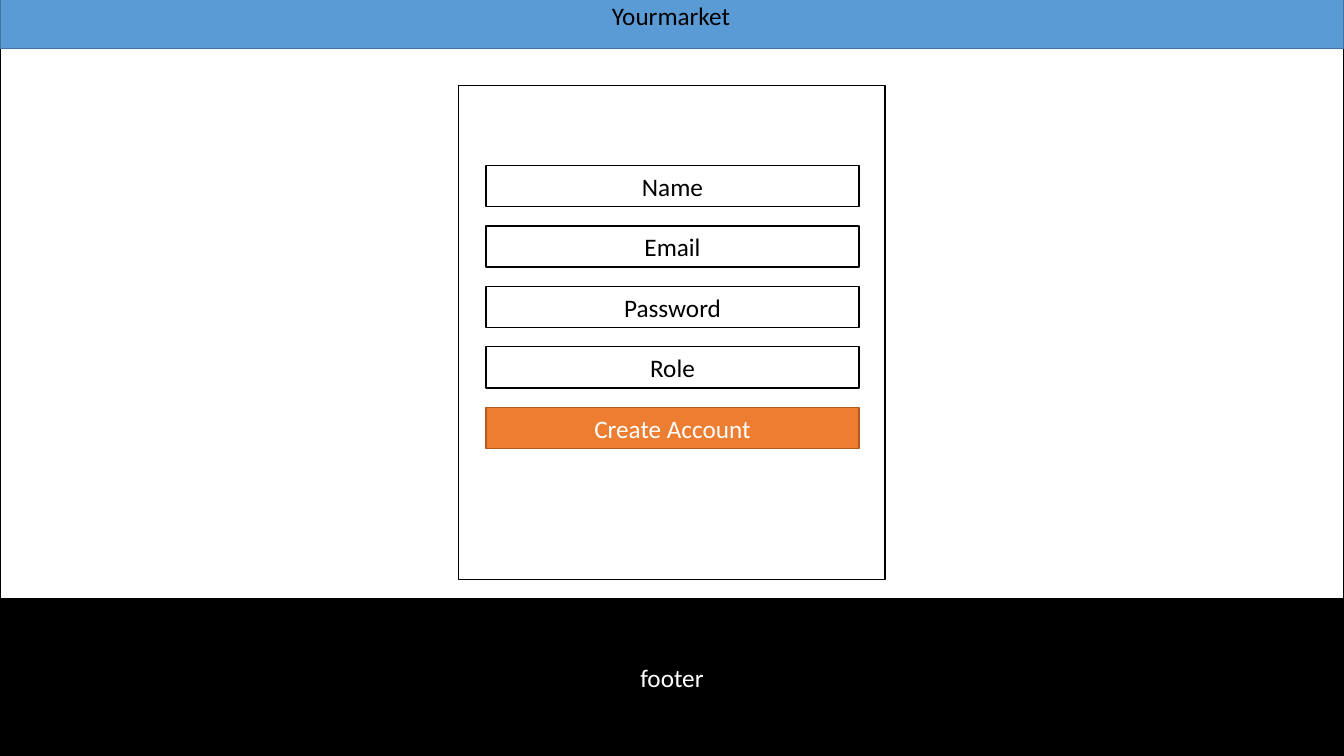
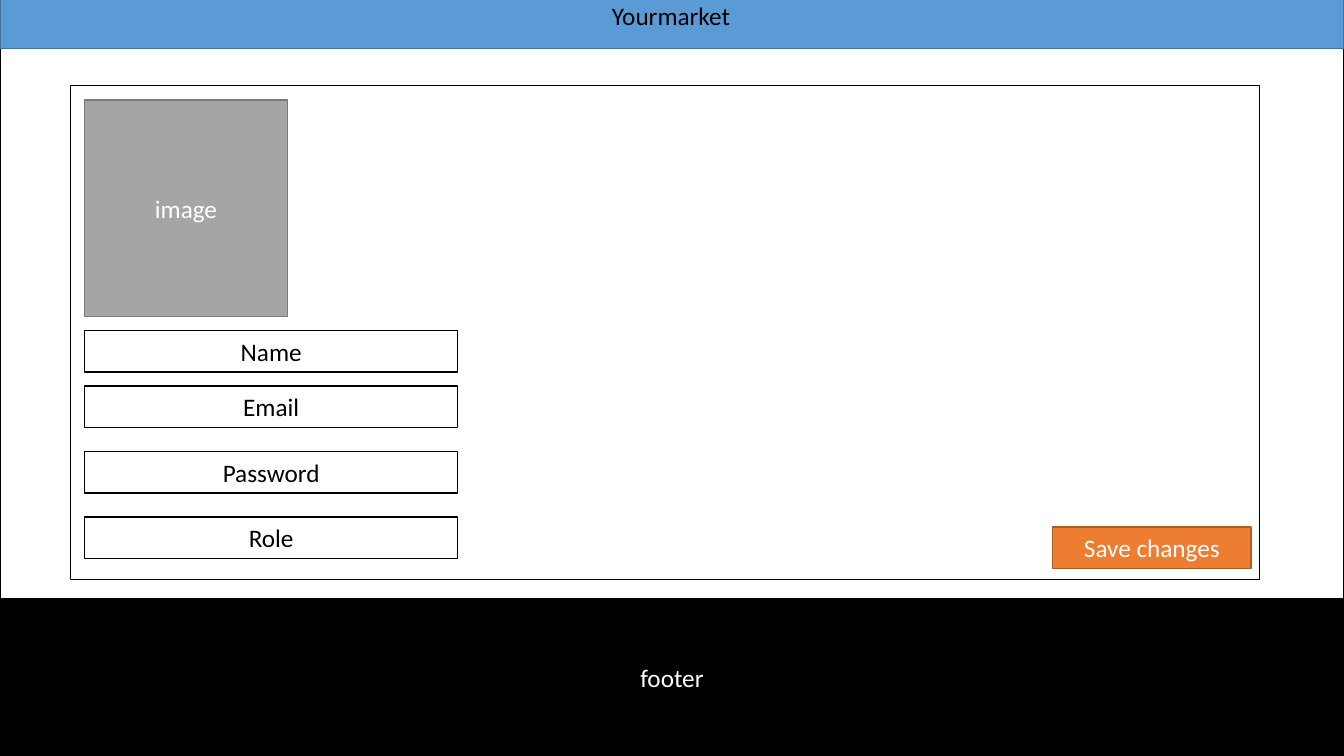
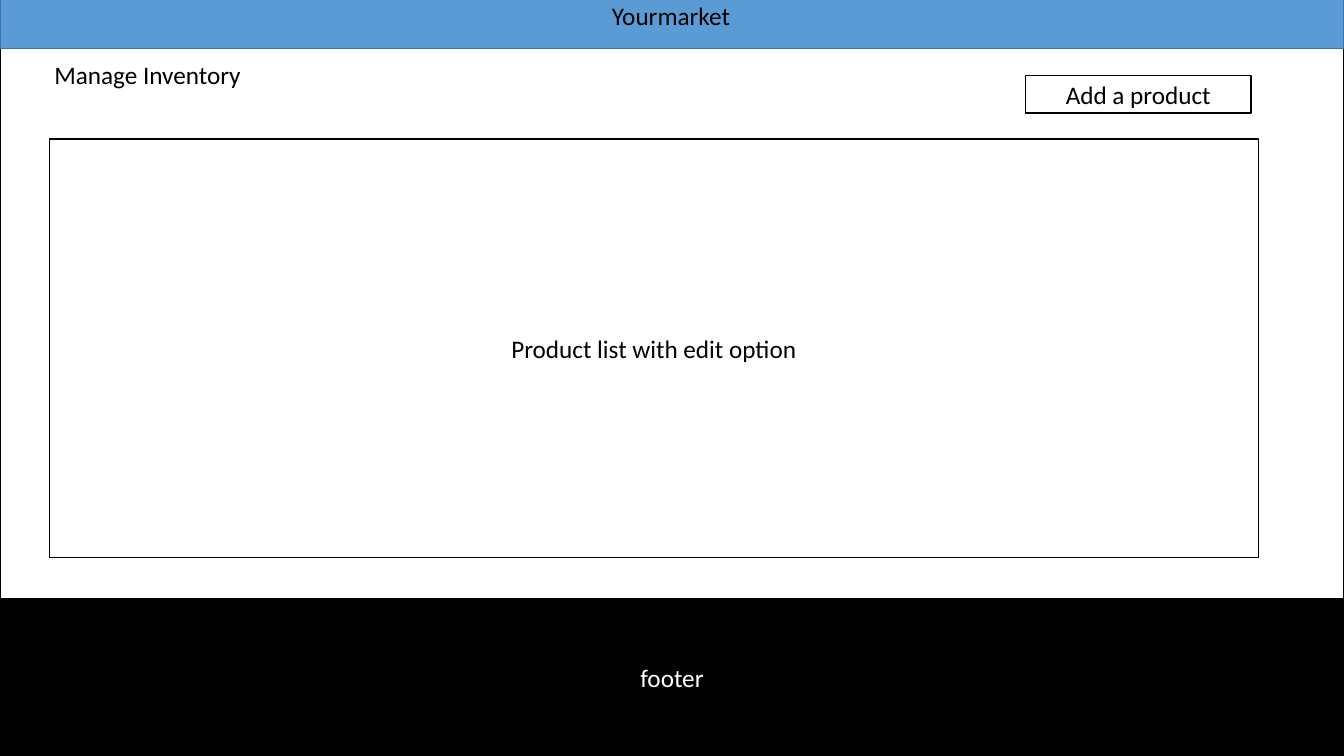
from pptx import Presentation
from pptx.dml.color import RGBColor
from pptx.enum.shapes import MSO_SHAPE
from pptx.enum.text import MSO_ANCHOR, MSO_AUTO_SIZE, PP_ALIGN
from pptx.util import Pt

PX = 9144  # EMU in one px, 100 px to the inch
WIDE, HIGH = 1333, 750
FONT = {"name": "Calibri", "size": Pt(18)}
LABEL = {"word_wrap": False, "auto_size": MSO_AUTO_SIZE.SHAPE_TO_FIT_TEXT}

# Each look is fill, line and text colour; a label has neither fill nor line.
PLAIN = ("FFFFFF", "000000", "000000")
BAND = ("5B9BD5", "43739E", "000000")
DARK = ("000000", "000000", "FFFFFF")
BUTTON = ("ED7D31", "AF5C24", "FFFFFF")
PHOTO = ("A5A5A5", "7A7A7A", "FFFFFF")

FIELDS = ["Name", "Email", "Password", "Role"]
FIELD_W, FIELD_H = 370, 41


def write(shape, text, color):
    para = shape.text_frame.paragraphs[0]
    run = para.add_run()
    run.text = text
    for key, value in FONT.items():
        setattr(run.font, key, value)
    run.font.color.rgb = RGBColor.from_string(color)
    return para


def draw(slide, box, look=None, text=""):
    """Draw a box in the given look, or a bare label when there is no look."""
    place = [n * PX for n in box]
    if look is None:
        label = slide.shapes.add_textbox(*place)
        for key, value in LABEL.items():
            setattr(label.text_frame, key, value)
        write(label, text, "000000")
        return
    fill, line, ink = look
    shape = slide.shapes.add_shape(MSO_SHAPE.RECTANGLE, *place)
    shape.shadow.inherit = False
    shape.fill.solid()
    shape.fill.fore_color.rgb = RGBColor.from_string(fill)
    shape.line.color.rgb = RGBColor.from_string(line)
    shape.line.width = Pt(1)
    if text:
        shape.text_frame.vertical_anchor = MSO_ANCHOR.MIDDLE
        write(shape, text, ink).alignment = PP_ALIGN.CENTER


deck = Presentation()
deck.slide_width, deck.slide_height = WIDE * PX, HIGH * PX

# Page frame, header and footer on every slide
pages = []
for _ in range(3):
    page = deck.slides.add_slide(deck.slide_layouts[6])
    draw(page, (0, -18, WIDE, HIGH), PLAIN)
    draw(page, (0, -18, WIDE, 66), BAND)
    draw(page, (597, -5, 138, 40), text="Yourmarket")
    draw(page, (0, 594, WIDE, 156), DARK, "footer")
    pages.append(page)
signup, profile, stock = pages

# Sign-up form: fields and button at one even step
draw(signup, (455, 85, 423, 490), PLAIN)
for i, text in enumerate(FIELDS + ["Create Account"]):
    look = PLAIN if text in FIELDS else BUTTON
    draw(signup, (482, 164 + 60 * i, FIELD_W, FIELD_H), look, text)

# Profile form: the name sits close under the photo, the rest at an even step
draw(profile, (70, 85, 1179, 490), PLAIN)
draw(profile, (84, 99, 201, 215), PHOTO, "image")
for text, top in zip(FIELDS, [328, *range(383, 514, 65)]):
    draw(profile, (84, top, FIELD_W, FIELD_H), PLAIN, text)
draw(profile, (1044, 523, 197, FIELD_H), BUTTON, "Save changes")

# Inventory
draw(stock, (44, 54, 207, 40), text="Manage Inventory")
draw(stock, (1017, 75, 224, 37), PLAIN, "Add a product")
draw(stock, (49, 138, 1199, 415), PLAIN, "Product list with edit option")

deck.save("out.pptx")
